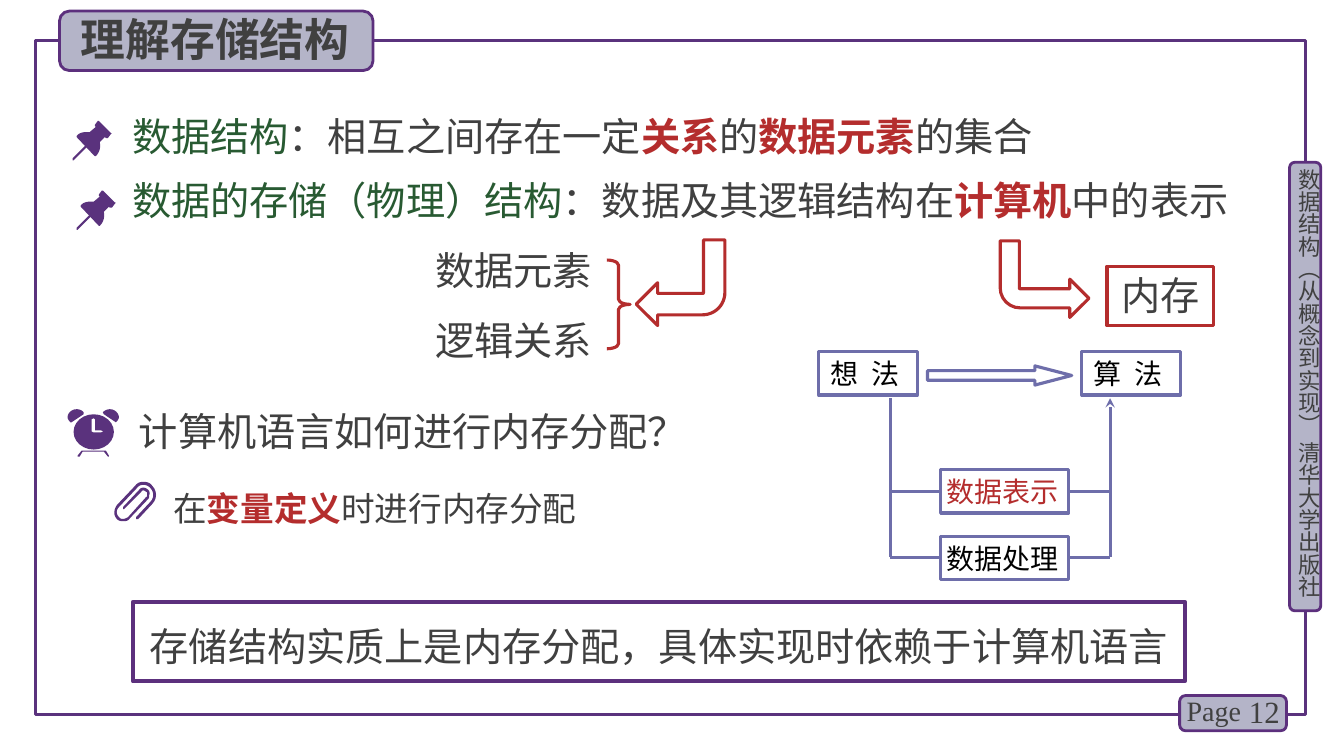
from lxml import etree
from pptx import Presentation
from pptx.dml.color import RGBColor
from pptx.enum.shapes import MSO_CONNECTOR, MSO_SHAPE
from pptx.enum.text import MSO_ANCHOR, MSO_AUTO_SIZE, PP_ALIGN
from pptx.oxml.ns import qn
from pptx.util import Inches, Pt

PURPLE = RGBColor(0x5A, 0x32, 0x7D)
BADGE_LINE = RGBColor(0x5C, 0x30, 0x7D)
BADGE = RGBColor(0xB4, 0xB4, 0xC8)
GRAY = RGBColor(0x40, 0x40, 0x40)
GREEN = RGBColor(0x28, 0x5A, 0x32)
RED = RGBColor(0xB4, 0x2D, 0x2D)
BLUE = RGBColor(0x6E, 0x6E, 0xAA)
BLACK = RGBColor(0, 0, 0)
WHITE = RGBColor(0xFF, 0xFF, 0xFF)
SANS, SERIF = "Noto Sans CJK SC", "Times New Roman"
RECT, ROUND, OVAL = MSO_SHAPE.RECTANGLE, MSO_SHAPE.ROUNDED_RECTANGLE, MSO_SHAPE.OVAL
BENT, BRACE, ARROW = MSO_SHAPE.BENT_ARROW, MSO_SHAPE.LEFT_BRACE, MSO_SHAPE.RIGHT_ARROW
STRAIGHT = MSO_CONNECTOR.STRAIGHT
TOP, MIDDLE = MSO_ANCHOR.TOP, MSO_ANCHOR.MIDDLE
LEFT, CENTER, RIGHT = PP_ALIGN.LEFT, PP_ALIGN.CENTER, PP_ALIGN.RIGHT
LEFT_SIDE, RIGHT_SIDE = 1, 3

TITLE = "理解存储结构"
DEFINITIONS = [
    [("数据结构", GREEN, False), ("：相互之间存在一定", GRAY, False), ("关系", RED, True),
     ("的", GRAY, False), ("数据元素", RED, True), ("的集合", GRAY, False)],
    [("数据的存储（物理）结构", GREEN, False), ("：数据及其逻辑结构在", GRAY, False),
     ("计算机", RED, True), ("中的表示", GRAY, False)],
]
QUESTION = "计算机语言如何进行内存分配？"
ANSWER = [("在", GRAY, False), ("变量定义", RED, True), ("时进行内存分配", GRAY, False)]
STORED_PARTS = ["数据元素", "逻辑关系"]
MEMORY = "内存"
SUMMARY = "存储结构实质上是内存分配，具体实现时依赖于计算机语言"
SIDE_LABEL = "数据结构（从概念到实现） 清华大学出版社"
FLOW_NODES = [
    ("想 法", (8.12, 3.49, 0.98, 0.43), BLACK, 0.12, 225),
    ("算 法", (10.73, 3.49, 0.98, 0.43), BLACK, 0.12, 225),
    ("数据表示", (9.33, 4.66, 1.27, 0.43), RED, 0.06, 0),
    ("数据处理", (9.33, 5.32, 1.27, 0.43), BLACK, 0.06, 0),
]
LEFT_RAIL, RIGHT_RAIL, RAIL_TOP, RAIL_BOTTOM = 8.83, 11.01, 3.95, 5.53

PIN_OFFSETS = [(0, 0), (0.04, 0.69)]
PIN_HEAD = [(1.1, 1.32), (0.98, 1.2), (0.97, 1.2), (0.94, 1.24), (0.94, 1.25), (0.95, 1.26),
            (0.89, 1.31), (0.88, 1.31, 0.87, 1.31, 0.86, 1.31),
            (0.82, 1.31, 0.78, 1.32, 0.76, 1.35), (0.76, 1.36), (0.94, 1.55), (0.95, 1.55),
            (0.99, 1.51, 1, 1.46, 0.99, 1.41), (1.04, 1.36), (1.05, 1.37), (1.07, 1.37),
            (1.1, 1.33), (1.11, 1.32)]
PIN_NEEDLE = [(0.73, 1.59), (0.72, 1.59), (0.72, 1.57), (0.85, 1.44), (0.86, 1.44), (0.86, 1.46)]
CLOCK_LEGS = [(1.08, 4.52), (1.05, 4.47), (0.81, 4.47), (0.77, 4.52), (0.77, 4.53),
              (0.79, 4.53), (0.82, 4.48), (1.03, 4.48), (1.07, 4.53), (1.08, 4.53)]
CLOCK_LEFT_BELL = [(0.76, 4.06), (0.71, 4.06, 0.67, 4.1, 0.67, 4.14),
                   (0.67, 4.15, 0.68, 4.17, 0.69, 4.18), (0.7, 4.19), (0.71, 4.19),
                   (0.83, 4.11), (0.83, 4.09), (0.81, 4.07, 0.79, 4.06, 0.76, 4.06)]
CLOCK_RIGHT_BELL = [(1.09, 4.06), (1.07, 4.06, 1.04, 4.07, 1.02, 4.09), (1.03, 4.11),
                    (1.15, 4.19), (1.16, 4.18), (1.17, 4.17, 1.18, 4.15, 1.18, 4.14),
                    (1.18, 4.1, 1.14, 4.06, 1.09, 4.06)]
CLOCK_HANDS = [(0.91, 4.28), (0.91, 4.16), (0.93, 4.15), (0.94, 4.16), (0.94, 4.27),
               (1, 4.27), (1.02, 4.28), (1, 4.29), (0.93, 4.29)]
PAPER_CLIP = [(1.51, 4.82), (1.49, 4.79, 1.46, 4.78, 1.42, 4.78),
              (1.39, 4.78, 1.36, 4.79, 1.34, 4.82), (1.16, 5.01),
              (1.13, 5.05, 1.12, 5.11, 1.16, 5.15), (1.18, 5.17, 1.2, 5.17, 1.22, 5.17),
              (1.25, 5.17, 1.27, 5.17, 1.29, 5.14), (1.47, 4.95),
              (1.48, 4.94, 1.48, 4.92, 1.48, 4.91), (1.49, 4.89, 1.48, 4.87, 1.47, 4.86),
              (1.44, 4.83, 1.4, 4.83, 1.38, 4.86), (1.22, 5.03), (1.22, 5.05), (1.23, 5.05),
              (1.4, 4.88), (1.41, 4.86, 1.43, 4.86, 1.45, 4.88),
              (1.46, 4.88, 1.46, 4.89, 1.46, 4.91), (1.46, 4.92, 1.46, 4.93, 1.45, 4.93),
              (1.27, 5.13), (1.24, 5.15, 1.2, 5.16, 1.18, 5.13),
              (1.15, 5.1, 1.15, 5.06, 1.18, 5.03), (1.36, 4.84),
              (1.37, 4.82, 1.4, 4.81, 1.42, 4.81), (1.45, 4.81, 1.47, 4.82, 1.49, 4.84),
              (1.53, 4.88, 1.53, 4.94, 1.49, 4.98), (1.35, 5.13), (1.35, 5.15), (1.37, 5.15),
              (1.51, 5), (1.56, 4.95, 1.56, 4.87, 1.51, 4.82)]
CURVE_STEPS = 6

presentation = Presentation()
presentation.slide_width, presentation.slide_height = Inches(13.33), Inches(7.5)
slide = presentation.slides.add_slide(presentation.slide_layouts[1])
shapes = slide.shapes


def place(shape, box):
    shape.left, shape.top, shape.width, shape.height = map(Inches, box)


def format_frame(frame, anchor=TOP, insets=(0.1, 0.05, 0.1, 0.05)):
    frame.word_wrap = True
    frame.auto_size = MSO_AUTO_SIZE.NONE
    frame.vertical_anchor = anchor
    (frame.margin_left, frame.margin_top,
     frame.margin_right, frame.margin_bottom) = map(Inches, insets)
    return frame


def write(paragraph, content, size, color=GRAY, font=SANS, align=LEFT, bold=False):
    runs = [(content, None, None)] if isinstance(content, str) else content
    paragraph.alignment = align
    paragraph.space_before = Pt(0)
    paragraph.font.size, paragraph.font.name = Pt(size), font
    paragraph.font.bold = bold
    paragraph.font.color.rgb = color
    defaults = paragraph.font._element
    etree.SubElement(defaults, qn("a:ea")).set("typeface", font)
    for text, run_color, run_bold in runs:
        run = paragraph.add_run()
        run.text = text
        if run_color is not None:
            run.font.color.rgb, run.font.bold = run_color, run_bold
    return paragraph


def add_text(box, content, size, anchor=TOP, insets=(0.1, 0.05, 0.1, 0.05), **style):
    frame = format_frame(shapes.add_textbox(*map(Inches, box)).text_frame, anchor, insets)
    return write(frame.paragraphs[0], content, size, **style), frame


def paint(shape, fill=None, line=None, width=2.25):
    shape.shadow.inherit = False
    if fill is None:
        shape.fill.background()
    else:
        shape.fill.solid()
        shape.fill.fore_color.rgb = fill
    if line is None:
        shape.line.fill.background()
    else:
        shape.line.color.rgb, shape.line.width = line, Pt(width)
    return shape


def add_shape(kind, box, fill=None, line=None, width=2.25, adjustments=(), flips=()):
    shape = paint(shapes.add_shape(kind, *map(Inches, box)), fill, line, width)
    for index, value in enumerate(adjustments):
        shape.adjustments[index] = value
    for flip in flips:
        shape.element.spPr.xfrm.set(flip, "1")
    return shape


def add_badge(box):
    return add_shape(ROUND, box, BADGE, BADGE_LINE, 2)


def add_outline(path, color=PURPLE, offset=(0, 0)):
    points = [path[0]]
    for step in path[1:]:
        if len(step) == 2:
            points.append(step)
            continue
        start, first, second, end = points[-1], step[:2], step[2:4], step[4:]
        for index in range(1, CURVE_STEPS + 1):
            t = index / CURVE_STEPS
            u = 1 - t
            points.append(tuple(
                u**3 * a + 3 * u * u * t * b + 3 * u * t * t * c + t**3 * d
                for a, b, c, d in zip(start, first, second, end)))
    points = [(Inches(x + offset[0]), Inches(y + offset[1])) for x, y in points]
    builder = shapes.build_freeform(*points[0])
    builder.add_line_segments(points[1:], close=True)
    paint(builder.convert_to_shape(), color)


def add_line(x1, y1, x2, y2):
    connector = shapes.add_connector(STRAIGHT, *map(Inches, (x1, y1, x2, y2)))
    connector.line.color.rgb, connector.line.width = BLUE, Pt(2.25)
    etree.SubElement(connector.element.spPr, qn("a:effectLst"))
    return connector


add_shape(RECT, (0.35, 0.4, 12.6, 6.69), line=PURPLE)
add_badge((12.79, 1.61, 0.31, 4.45))
_, side_frame = add_text((12.85, 1.67, 0.27, 4.49), SIDE_LABEL, 16, insets=(0, 0, 0, 0))
side_frame._bodyPr.set("vert", "eaVert")
add_badge((11.7, 6.9, 1.06, 0.35))
add_text((12.2, 6.86, 0.59, 0.4), "12", 22, MIDDLE, font=SERIF, align=RIGHT)
add_text((11.67, 6.83, 0.78, 0.44), "Page", 20, font=SERIF)

title = shapes.title
add_badge((0.59, 0.11, 3.11, 0.59)).element.addnext(title.element)
place(title, (0.7, 0.07, 3.02, 0.64))
write(format_frame(title.text_frame).paragraphs[0], TITLE, 32, bold=True)

body = slide.placeholders[1]
place(body, (1.21, 1.06, 11.43, 1.37))
body_frame = format_frame(body.text_frame)
for index, definition in enumerate(DEFINITIONS):
    paragraph = body_frame.add_paragraph() if index else body_frame.paragraphs[0]
    properties = paragraph._p.get_or_add_pPr()
    properties.set("marL", "0")
    properties.set("indent", "0")
    etree.SubElement(properties, qn("a:buNone"))
    write(paragraph, definition, 28)
    paragraph.space_before = Pt(12.7 * index)
for offset in PIN_OFFSETS:
    for path in (PIN_HEAD, PIN_NEEDLE):
        add_outline(path, offset=offset)

summary = add_shape(RECT, (1.32, 5.97, 10.43, 0.79), line=BADGE_LINE, width=3)
summary_frame = format_frame(summary.text_frame, MIDDLE)
write(summary_frame.paragraphs[0], SUMMARY, 28, align=CENTER).line_spacing = Pt(40)

add_text((1.28, 3.99, 6.88, 0.57), QUESTION, 28)
for path in (CLOCK_LEGS, CLOCK_LEFT_BELL, CLOCK_RIGHT_BELL):
    add_outline(path)
add_shape(OVAL, (0.73, 4.11, 0.4, 0.35), PURPLE)
add_outline(CLOCK_HANDS, WHITE)
answer, _ = add_text((1.62, 4.71, 7.08, 0.76), ANSWER, 24)
answer.line_spacing = 1.2
add_outline(PAPER_CLIP)

memory = add_shape(RECT, (10.98, 2.64, 1.06, 0.59), line=RED)
write(format_frame(memory.text_frame).paragraphs[0], MEMORY, 28, align=CENTER)
for box, flips in [((9.92, 2.39, 0.88, 0.76), ["flipV"]),
                   ((6.31, 2.38, 0.88, 0.85), ["flipH", "flipV"])]:
    add_shape(BENT, box, line=RED, adjustments=(0.25, 0.25, 0.25, 0.26), flips=flips)
for index, part in enumerate(STORED_PARTS):
    add_text((4.15, 2.39 + 0.7 * index, 1.89, 0.59), part, 28, align=CENTER)
add_shape(BRACE, (6.02, 2.58, 0.23, 0.88), line=RED, adjustments=(0.22, 0.5), flips=["flipH"])

nodes = []
for text, box, color, inset, spacing in FLOW_NODES:
    node = add_shape(RECT, box, line=BLUE)
    frame = format_frame(node.text_frame, MIDDLE, (inset, 0.01, 0, 0.01))
    paragraph = write(frame.paragraphs[0], text, 20, color)
    if spacing:
        paragraph.runs[0].font._element.set("spc", str(spacing))
    nodes.append(node)
add_shape(ARROW, (9.2, 3.63, 1.43, 0.19), line=BLUE, adjustments=(0.5, 1.92))

add_line(LEFT_RAIL, RAIL_TOP, LEFT_RAIL, RAIL_BOTTOM)
for node, (_, (left, top, width, height), *_) in zip(nodes[2:], FLOW_NODES[2:]):
    middle = top + height / 2
    add_line(LEFT_RAIL, middle, left, middle).end_connect(node, LEFT_SIDE)
    add_line(left + width, middle, RIGHT_RAIL, middle).begin_connect(node, RIGHT_SIDE)
rise = add_line(RIGHT_RAIL, RAIL_BOTTOM, RIGHT_RAIL, RAIL_TOP)
etree.SubElement(rise.line._get_or_add_ln(), qn("a:tailEnd")).set("type", "stealth")

presentation.save("out.pptx")
